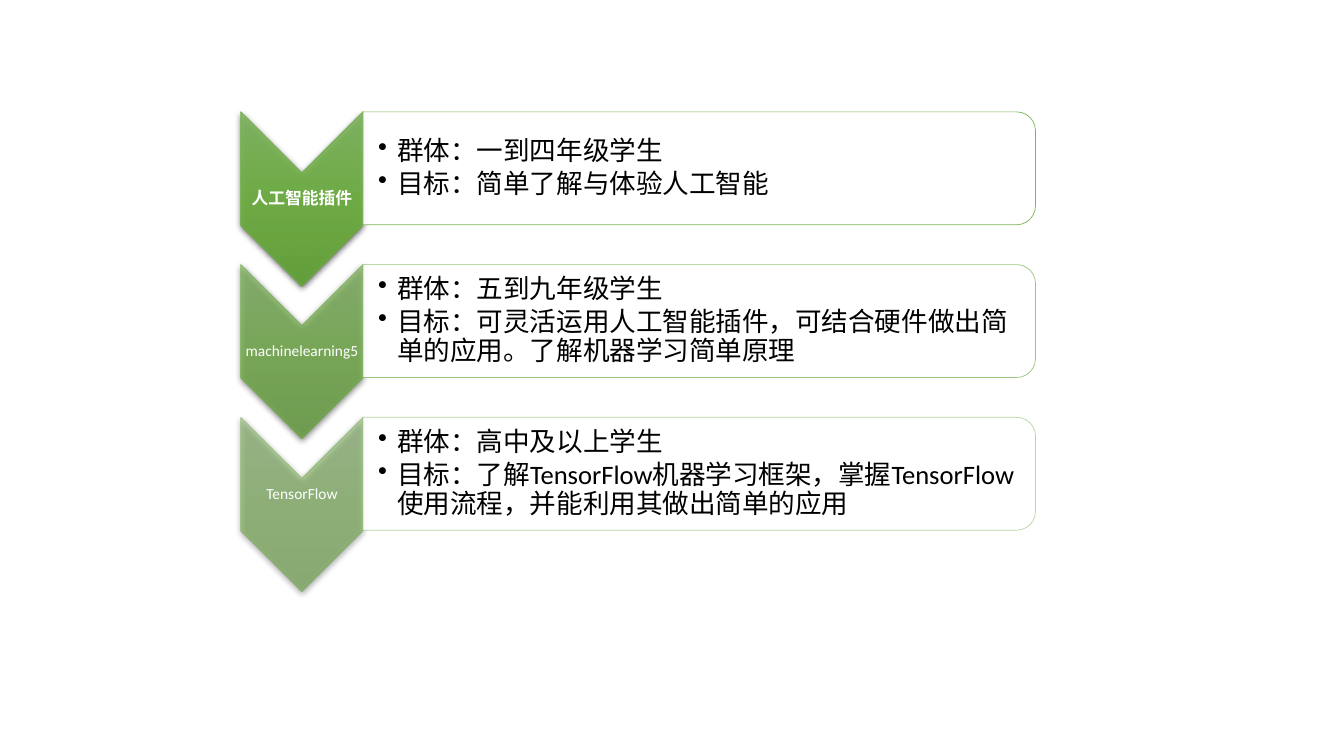
from dataclasses import dataclass
from typing import NamedTuple

from lxml.etree import SubElement
from pptx import Presentation
from pptx.dml.color import RGBColor
from pptx.enum.shapes import MSO_SHAPE as Preset
from pptx.enum.text import MSO_ANCHOR as Anchor, PP_ALIGN as Align
from pptx.oxml import parse_xml
from pptx.oxml.ns import nsdecls, qn
from pptx.util import Emu, Inches, Pt


@dataclass(frozen=True)
class Theme:
    """Colours, fonts and sizes used on the slide."""
    green: str = "70AD47"
    gradient: tuple = ((0, "81B861"), (50, "6FB242"), (100, "62A336"))
    white: str = "FFFFFF"
    black: str = "000000"
    latin: str = "Calibri"
    chinese: str = "Noto Sans CJK SC"
    body_size: float = 19
    line_width: float = 0.5
    panel_opacity: int = 90


class Box(NamedTuple):
    """A visible frame in inches."""
    left: float
    top: float
    width: float
    height: float


class Stage(NamedTuple):
    """One learning stage: its arrow label, bullets and strength of green."""
    label: str
    size: float
    bold: bool
    lift: float
    opacity: int
    bullets: tuple


THEME = Theme()
FIRST_TOP, ROW_PITCH = 1.11, 1.515
ARROW_LEFT, ARROW_WIDTH, ARROW_HEIGHT = 2.39, 1.21, 1.73
PANEL_LEFT = ARROW_LEFT + ARROW_WIDTH
PANEL_WIDTH, PANEL_HEIGHT = 6.67, 1.12
LABEL_HEIGHT = 0.52
TEXT_WIDTH, TEXT_HEIGHT = 6.61, 1.01
MARGIN, TEXT_MARGIN, INDENT = 0.01, 0.15, 0.19

STAGES = (
    Stage("人工智能插件", 12, True, 0, 90,
          ("群体：一到四年级学生", "目标：简单了解与体验人工智能")),
    Stage("machinelearning5", 11, False, 0, 70,
          ("群体：五到九年级学生",
           "目标：可灵活运用人工智能插件，可结合硬件做出简单的应用。了解机器学习简单原理")),
    Stage("TensorFlow", 11, False, 0.1, 50,
          ("群体：高中及以上学生",
           "目标：了解TensorFlow机器学习框架，掌握TensorFlow使用流程，"
           "并能利用其做出简单的应用")),
)


def set_opacity(fill, percent: int) -> None:
    """Make a solid fill partly transparent."""
    color = fill._xPr.find(qn("a:solidFill"))[0]
    SubElement(color, qn("a:alpha"), val=str(percent * 1000))


def add_turned_shape(slide, preset, box: Box, opacity: int):
    """Add a preset turned by a quarter so that it fills the visible box."""
    left = box.left + (box.width - box.height) / 2
    top = box.top + (box.height - box.width) / 2
    shape = slide.shapes.add_shape(
        preset, *map(Inches, (left, top, box.height, box.width)))
    shape.rotation = 90
    shape.shadow.inherit = False
    shape.line.width = Pt(THEME.line_width)
    shape.line.color.rgb = RGBColor.from_string(THEME.green)
    set_opacity(shape.line.fill, opacity)
    return shape


def add_arrow(slide, box: Box, opacity: int) -> None:
    """Add a downward chevron with a green gradient and a soft shadow."""
    arrow = add_turned_shape(slide, Preset.CHEVRON, box, opacity)
    stops = "".join(
        f'<a:gs pos="{position * 1000}"><a:srgbClr val="{color}">'
        f'<a:alpha val="{opacity * 1000}"/></a:srgbClr></a:gs>'
        for position, color in THEME.gradient)
    gradient = parse_xml(
        f'<a:gradFill {nsdecls("a")} rotWithShape="0"><a:gsLst>{stops}</a:gsLst>'
        '<a:lin ang="5400000" scaled="0"/></a:gradFill>')
    properties = arrow._element.spPr
    properties.find(qn("a:prstGeom")).addnext(gradient)
    properties.find(qn("a:effectLst")).append(parse_xml(
        f'<a:outerShdw {nsdecls("a")} blurRad="{Pt(4.5)}" dist="{Pt(1.5)}" '
        f'dir="5400000" algn="ctr" rotWithShape="0"><a:srgbClr val="{THEME.black}">'
        '<a:alpha val="63000"/></a:srgbClr></a:outerShdw>'))


def add_panel(slide, box: Box, opacity: int) -> None:
    """Add a white panel rounded at its right end."""
    panel = add_turned_shape(slide, Preset.ROUND_2_SAME_RECTANGLE, box, opacity)
    panel.fill.solid()
    panel.fill.fore_color.rgb = RGBColor.from_string(THEME.white)
    set_opacity(panel.fill, THEME.panel_opacity)


def add_text(slide, box: Box, lines: tuple, size: float, color: str,
             left_margin: float = MARGIN, space: float = 0, bold: bool = False):
    """Add a middle-anchored text box and return its paragraphs."""
    frame = slide.shapes.add_textbox(*map(Inches, box)).text_frame
    frame.word_wrap = True
    frame.vertical_anchor = Anchor.MIDDLE
    frame.margin_left = Inches(left_margin)
    frame.margin_right = frame.margin_top = frame.margin_bottom = Inches(MARGIN)
    frame.text = "\n".join(lines)
    for paragraph in frame.paragraphs:
        paragraph.line_spacing = 0.9
        paragraph.space_after = Pt(space)
        font = paragraph.runs[0].font
        font.size, font.bold, font.name = Pt(size), bold, THEME.latin
        font.color.rgb = RGBColor.from_string(color)
        SubElement(font._element, qn("a:ea"), typeface=THEME.chinese)
    return frame.paragraphs


def add_bullet(paragraph) -> None:
    """Give a paragraph a round bullet with a hanging indent."""
    properties = paragraph._p.get_or_add_pPr()
    indent = Emu(Inches(INDENT))
    properties.set("marL", str(indent))
    properties.set("indent", str(-indent))
    SubElement(properties, qn("a:buChar"), char="•")


def add_stage(slide, stage: Stage, top: float) -> None:
    """Draw one row: arrow, label, panel and bullets."""
    add_arrow(slide, Box(ARROW_LEFT, top, ARROW_WIDTH, ARROW_HEIGHT), stage.opacity)
    label_top = top + (ARROW_HEIGHT - LABEL_HEIGHT) / 2 - stage.lift
    label_box = Box(ARROW_LEFT, label_top, ARROW_WIDTH, LABEL_HEIGHT)
    for paragraph in add_text(slide, label_box, (stage.label,), stage.size,
                              THEME.white, bold=stage.bold):
        paragraph.alignment = Align.CENTER
    add_panel(slide, Box(PANEL_LEFT, top, PANEL_WIDTH, PANEL_HEIGHT), stage.opacity)
    text_top = top + (PANEL_HEIGHT - TEXT_HEIGHT) / 2
    text_box = Box(PANEL_LEFT, text_top, TEXT_WIDTH, TEXT_HEIGHT)
    for paragraph in add_text(slide, text_box, stage.bullets, THEME.body_size,
                              THEME.black, left_margin=TEXT_MARGIN, space=3):
        add_bullet(paragraph)


def main() -> None:
    """Build and save the slide."""
    presentation = Presentation()
    presentation.slide_width, presentation.slide_height = Inches(13.33), Inches(7.5)
    slide = presentation.slides.add_slide(presentation.slide_layouts[6])
    for row, stage in enumerate(STAGES):
        add_stage(slide, stage, FIRST_TOP + row * ROW_PITCH)
    presentation.save("out.pptx")


main()
